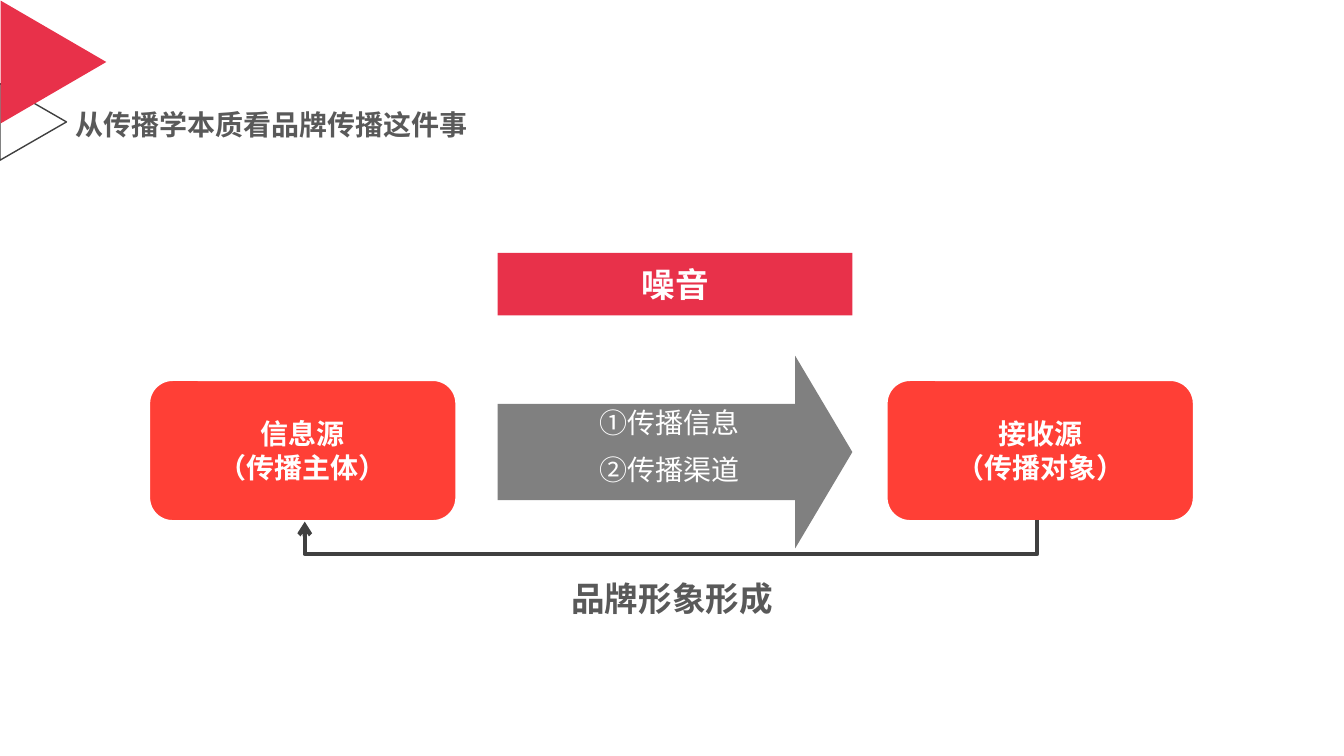
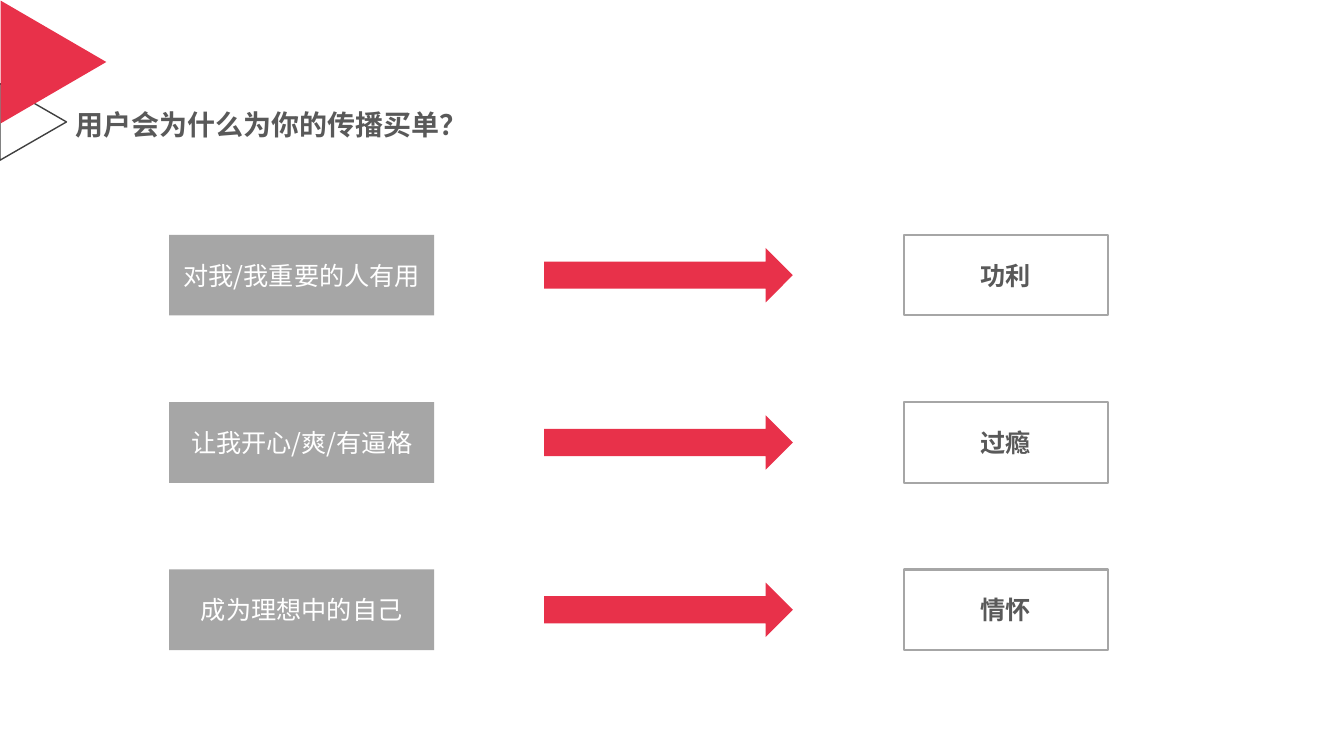
import dataclasses
import lxml.etree
import pptx
import pptx.dml.color
import pptx.enum.shapes
import pptx.enum.text
import pptx.oxml.ns
import pptx.util

PX = 9144
SHAPE = pptx.enum.shapes.MSO_SHAPE
CONNECTOR = pptx.enum.shapes.MSO_CONNECTOR
ALIGN = pptx.enum.text.PP_ALIGN
MIDDLE = pptx.enum.text.MSO_ANCHOR.MIDDLE
FIT = pptx.enum.text.MSO_AUTO_SIZE.SHAPE_TO_FIT_TEXT
rgb = pptx.dml.color.RGBColor.from_string
qn = pptx.oxml.ns.qn


@dataclasses.dataclass(frozen=True)
class Theme:
    font: str = "Noto Sans CJK SC"
    crimson: str = "E8314A"
    red: str = "FF3F36"
    ink: str = "595959"
    dark: str = "404040"
    grey: str = "808080"
    silver: str = "A6A6A6"
    white: str = "FFFFFF"
    large: int = 24
    medium: int = 20
    small: int = 18


theme = Theme()


def write(shape, lines, size, color, bold=False, align=ALIGN.CENTER):
    frame = shape.text_frame
    frame.word_wrap = True
    for number, line in enumerate(lines):
        paragraph = frame.add_paragraph() if number else frame.paragraphs[0]
        paragraph.alignment = align
        run = paragraph.add_run()
        run.text = line
        run.font.size = pptx.util.Pt(size)
        run.font.bold = bold
        run.font.color.rgb = rgb(color)
        run.font.name = theme.font
        east_asian = lxml.etree.SubElement(run.font._element, qn("a:ea"))
        east_asian.set("typeface", theme.font)


def draw(slide, kind, box, fill=None, line=None, width=1.5):
    shape = slide.shapes.add_shape(kind, *(value * PX for value in box))
    shape.shadow.inherit = False
    shape.text_frame.vertical_anchor = MIDDLE
    if fill:
        shape.fill.solid()
        shape.fill.fore_color.rgb = rgb(fill)
    else:
        shape.fill.background()
    if line:
        shape.line.color.rgb = rgb(line)
        shape.line.width = pptx.util.Pt(width)
    else:
        shape.line.fill.background()
    return shape


deck = pptx.Presentation()
deck.slide_width = 1334 * PX
deck.slide_height = 750 * PX
layout = deck.slide_layouts.get_by_name("Title Only")
for placeholder in list(layout.placeholders)[1:]:
    layout.shapes.element.remove(placeholder.element)

slides = []
for heading in ("从传播学本质看品牌传播这件事", "用户会为什么为你的传播买单？"):
    slide = deck.slides.add_slide(layout)
    title = slide.shapes.title
    title.left, title.top, title.width, title.height = (
        value * PX for value in (70, 105, 417, 41))
    write(title, [heading], theme.medium, theme.ink, True, ALIGN.LEFT)
    frame = title.text_frame
    frame.vertical_anchor = MIDDLE
    frame.auto_size = FIT
    frame.margin_left = frame.margin_right = 5 * PX
    frame.margin_top = frame.margin_bottom = 5 * PX
    frame.paragraphs[0].line_spacing = 0.9
    slides.append(slide)
process, motives = slides

corner = [
    draw(process, SHAPE.ISOSCELES_TRIANGLE, (-5, 88, 76, 66), line=theme.dark, width=1),
    draw(process, SHAPE.ISOSCELES_TRIANGLE, (-8, 9, 122, 105), theme.crimson),
]
for triangle in corner:
    triangle.rotation = 90
    layout.shapes.element.append(triangle.element)

channel = draw(process, SHAPE.RIGHT_ARROW, (494, 353, 352, 191), theme.grey)
channel.adjustments[1] = 0.297
for left, lines in ((148, ("信息源", "（传播主体）")), (880, ("接收源", "（传播对象）"))):
    party = draw(process, SHAPE.ROUNDED_RECTANGLE, (left, 377, 305, 140), theme.red, theme.white)
    write(party, lines, theme.medium, theme.white, True)

for text, box, size, color, bold in (
    ("①传播信息", (536, 397, 258, 44), theme.medium, theme.white, False),
    ("②传播渠道", (536, 444, 258, 44), theme.medium, theme.white, False),
    ("品牌形象形成", (538, 568, 258, 50), theme.large, theme.ink, True),
):
    label = process.shapes.add_textbox(*(value * PX for value in box))
    write(label, [text], size, color, bold)
    label.text_frame.auto_size = FIT

feedback = process.shapes.add_connector(
    CONNECTOR.ELBOW, *(value * PX for value in (665, 153, 667, 880)))
feedback.line.color.rgb = rgb(theme.dark)
feedback.line.width = pptx.util.Pt(3)
properties = feedback.element.spPr
properties.find(qn("a:xfrm")).set("rot", "5400000")
guides = properties.find(qn("a:prstGeom")).find(qn("a:avLst"))
bend = lxml.etree.SubElement(guides, qn("a:gd"))
bend.set("name", "adj1")
bend.set("fmla", "val 1700000")
arrowhead = lxml.etree.SubElement(properties.find(qn("a:ln")), qn("a:tailEnd"))
arrowhead.set("type", "arrow")
lxml.etree.SubElement(properties, qn("a:effectLst"))

noise = draw(process, SHAPE.RECTANGLE, (494, 251, 352, 62), theme.crimson)
write(noise, ["噪音"], theme.large, theme.white, True)

for row, (reason, motive) in enumerate((
    ("对我/我重要的人有用", "功利"),
    ("让我开心/爽/有逼格", "过瘾"),
    ("成为理想中的自己", "情怀"),
)):
    top = 233 + 166 * row
    cause = draw(motives, SHAPE.RECTANGLE, (168, top, 263, 80), theme.silver)
    write(cause, [reason], theme.small, theme.white)
    draw(motives, SHAPE.RIGHT_ARROW, (540, top + 13, 247, 54), theme.crimson)
    effect = draw(motives, SHAPE.RECTANGLE, (897, top, 203, 80), line=theme.silver)
    write(effect, [motive], theme.small, theme.ink, True)

deck.save("out.pptx")
